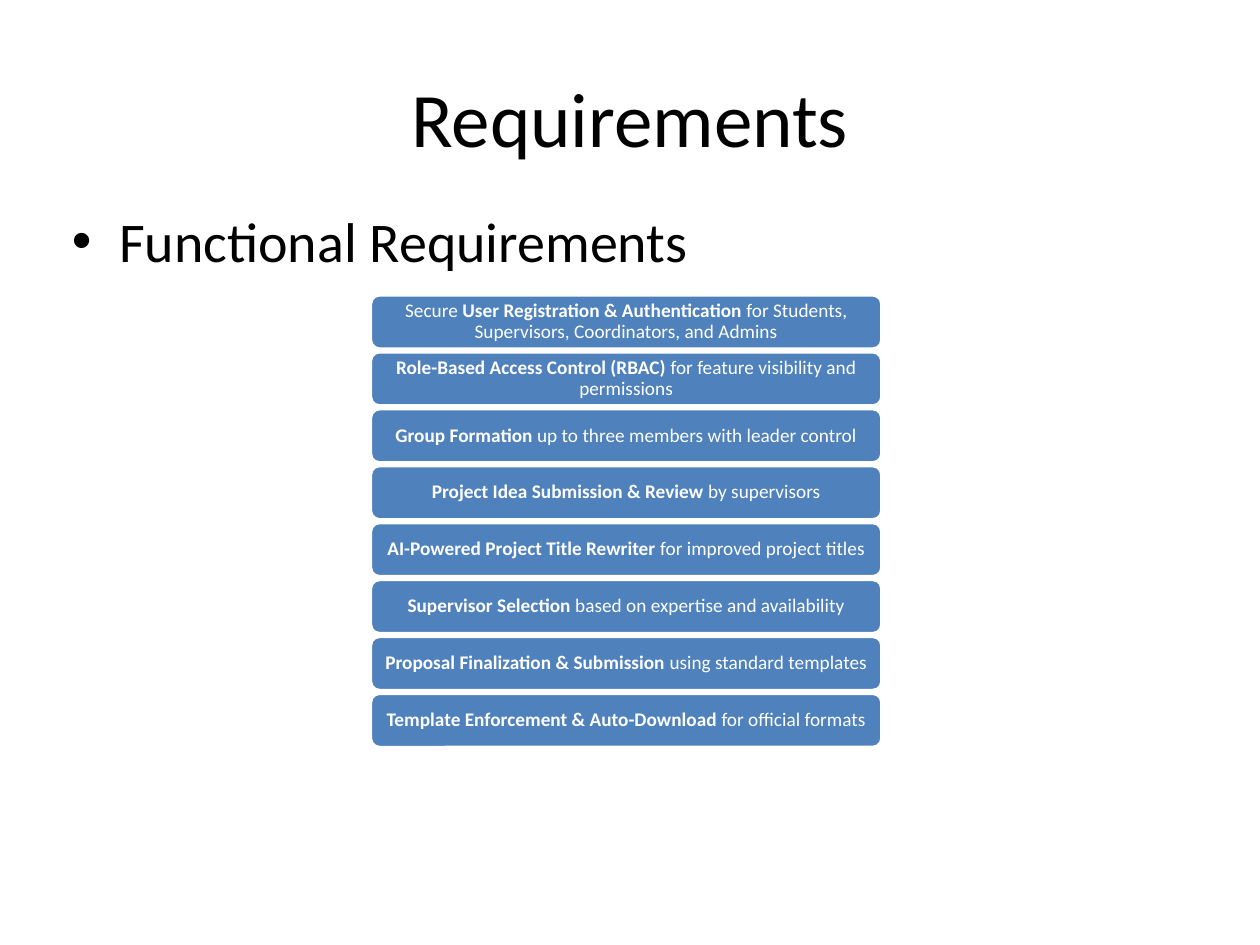
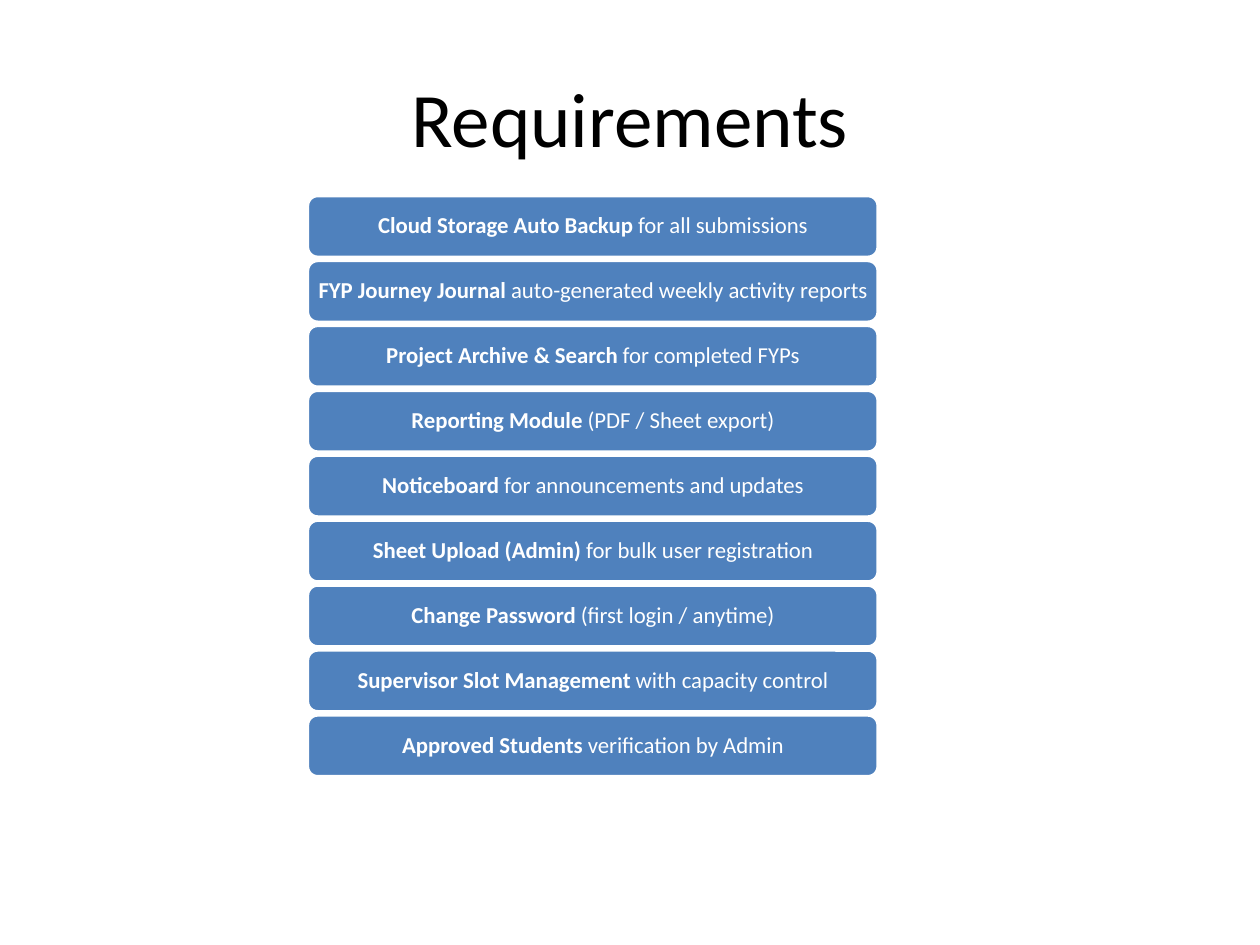
from pptx import Presentation
from pptx.dml.color import RGBColor
from pptx.enum.shapes import MSO_SHAPE as Shape
from pptx.enum.text import MSO_ANCHOR as Anchor, PP_ALIGN as Align
from pptx.util import Inches, Pt

# Shared style
COLORS = {"text": "000000", "bar": "4F81BD", "bar_text": "FFFFFF", "outline": "FFFFFF"}
FONT = "Calibri"
WIDTH, HEIGHT = Inches(10), Inches(7.5)
TITLE_AND_CONTENT, TITLE_ONLY = 1, 5
GAP = 0.05  # space between bars, as a share of the bar height

# Boxes as shares of the slide: left, top, width, height
TITLE_BOX = (0.05, 0.04, 0.9, 1 / 6)
BODY_BOX = (0.047, 0.212, 0.9, 0.66)
FUNCTIONAL_BOX = (0.294, 0.312, 0.406, 0.479)
FEATURES_BOX = (0.244, 0.207, 0.453, 0.615)

# Each bar is a list of (text, bold) runs
FUNCTIONAL_BARS = [
    [("Secure ", False), ("User Registration & Authentication", True),
     (" for Students, Supervisors, Coordinators, and Admins", False)],
    [("Role-Based Access Control (RBAC)", True),
     (" for feature visibility and permissions", False)],
    [("Group Formation", True), (" up to three members with leader control", False)],
    [("Project Idea Submission & Review", True), (" by supervisors", False)],
    [("AI-Powered Project Title Rewriter", True), (" for improved project titles", False)],
    [("Supervisor Selection", True), (" based on expertise and availability", False)],
    [("Proposal Finalization & Submission", True), (" using standard templates", False)],
    [("Template Enforcement & Auto-Download", True), (" for official formats", False)],
]
FEATURE_BARS = [
    [("Cloud Storage Auto Backup", True), (" for all submissions", False)],
    [("FYP Journey Journal", True), (" auto-generated weekly activity reports", False)],
    [("Project Archive & Search", True), (" for completed FYPs", False)],
    [("Reporting Module", True), (" (PDF / Sheet export)", False)],
    [("Noticeboard", True), (" for announcements and updates", False)],
    [("Sheet Upload (Admin)", True), (" for bulk user registration", False)],
    [("Change Password", True), (" (first login / anytime)", False)],
    [("Supervisor Slot Management", True), (" with capacity control", False)],
    [("Approved Students", True), (" verification by Admin", False)],
]


def color(name):
    return RGBColor.from_string(COLORS[name])


def to_lengths(box):
    """Turn shares of the slide into lengths."""
    left, top, width, height = box
    return [int(WIDTH * left), int(HEIGHT * top), int(WIDTH * width), int(HEIGHT * height)]


def style_run(run, size, color_name, bold=False):
    run.font.name = FONT
    run.font.size = Pt(size)
    run.font.bold = bold
    run.font.color.rgb = color(color_name)


def fill_placeholder(placeholder, box, text, size):
    placeholder.left, placeholder.top, placeholder.width, placeholder.height = to_lengths(box)
    placeholder.text_frame.text = text
    style_run(placeholder.text_frame.paragraphs[0].runs[0], size, "text")


def add_bar(slide, left, top, width, height, parts, size):
    bar = slide.shapes.add_shape(Shape.ROUNDED_RECTANGLE, left, top, width, height)
    bar.shadow.inherit = False
    bar.fill.solid()
    bar.fill.fore_color.rgb = color("bar")
    bar.line.color.rgb = color("outline")
    bar.line.width = Pt(2)

    text_frame = bar.text_frame
    text_frame.word_wrap = True
    text_frame.vertical_anchor = Anchor.MIDDLE
    text_frame.margin_left = text_frame.margin_right = Inches(0.05)
    text_frame.margin_top = text_frame.margin_bottom = Inches(0.02)
    paragraph = text_frame.paragraphs[0]
    paragraph.alignment = Align.CENTER
    paragraph.line_spacing = 0.9
    for text, bold in parts:
        run = paragraph.add_run()
        run.text = text
        style_run(run, size, "bar_text", bold)


def add_bar_stack(slide, box, bars, size):
    """Stack equal bars so that they and their gaps fill the box."""
    left, top, width, height = to_lengths(box)
    bar_height = height / (len(bars) + GAP * (len(bars) - 1))
    for row, parts in enumerate(bars):
        bar_top = top + row * bar_height * (1 + GAP)
        add_bar(slide, left, int(bar_top), width, int(bar_height), parts, size)


def add_requirements_slide(presentation, box, bars, size, heading=None):
    layout = TITLE_AND_CONTENT if heading else TITLE_ONLY
    slide = presentation.slides.add_slide(presentation.slide_layouts[layout])
    fill_placeholder(slide.shapes.title, TITLE_BOX, "Requirements", 44)
    if heading:
        fill_placeholder(slide.placeholders[1], BODY_BOX, heading, 32)
    add_bar_stack(slide, box, bars, size)


def main():
    presentation = Presentation()
    presentation.slide_width, presentation.slide_height = WIDTH, HEIGHT
    add_requirements_slide(presentation, FUNCTIONAL_BOX, FUNCTIONAL_BARS, 11,
                           "Functional Requirements")
    add_requirements_slide(presentation, FEATURES_BOX, FEATURE_BARS, 13)
    presentation.save("out.pptx")


if __name__ == "__main__":
    main()
